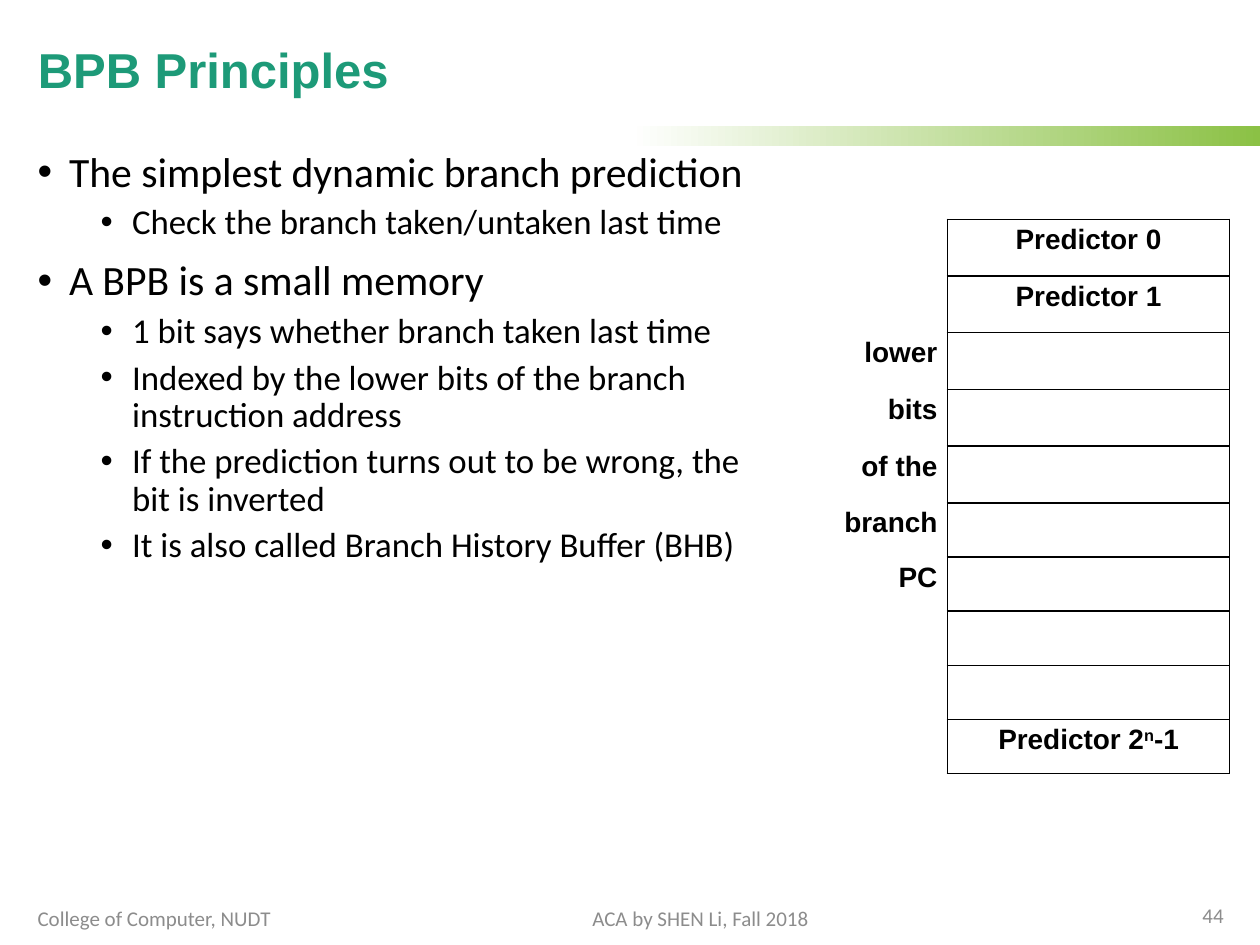
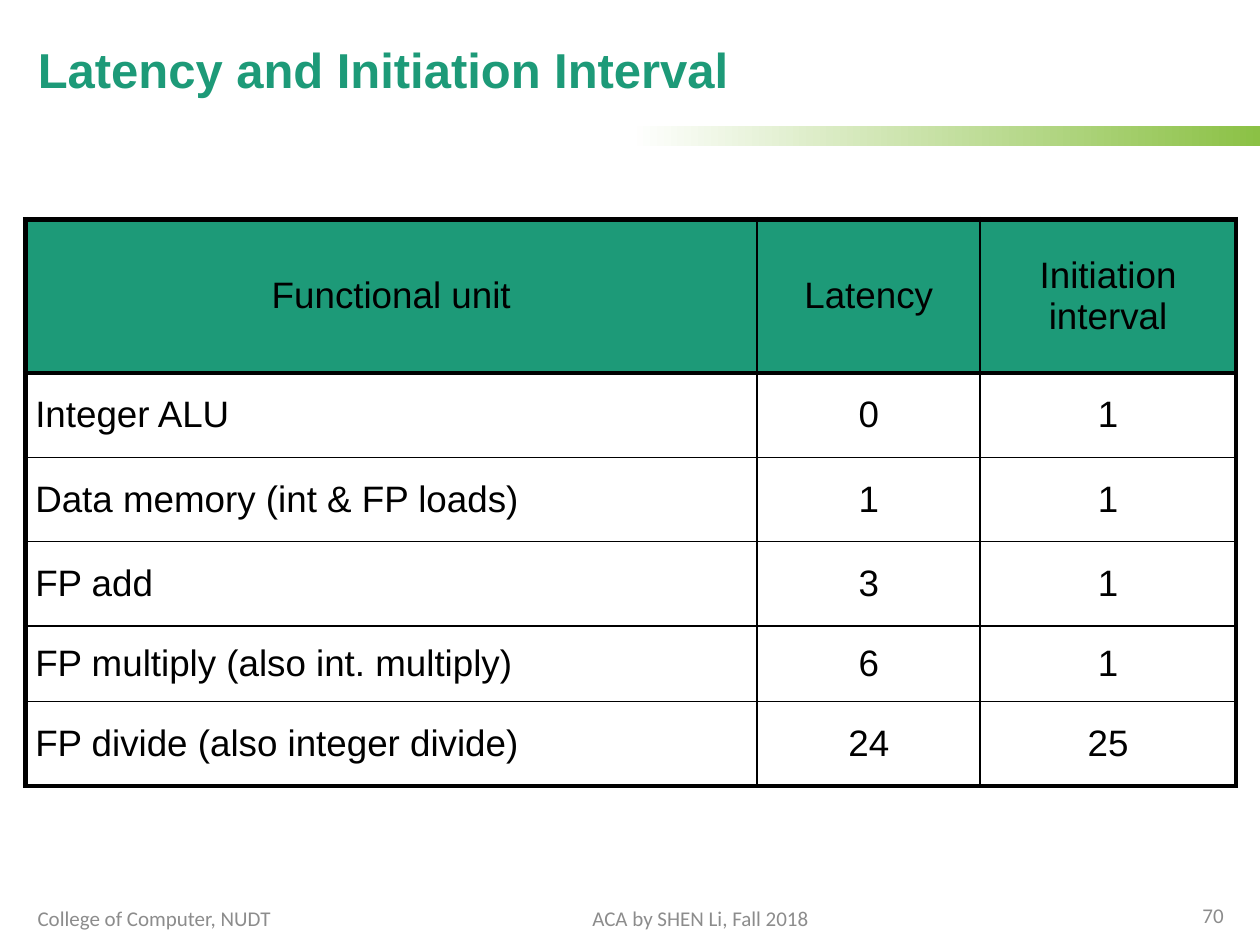
from lxml import etree
from pptx import Presentation
from pptx.dml.color import RGBColor
from pptx.enum.shapes import MSO_SHAPE
from pptx.enum.text import MSO_ANCHOR, MSO_AUTO_SIZE, PP_ALIGN
from pptx.oxml.ns import qn
from pptx.util import Inches, Pt

LEFT, CENTER, RIGHT = PP_ALIGN.LEFT, PP_ALIGN.CENTER, PP_ALIGN.RIGHT
TOP, MIDDLE = MSO_ANCHOR.TOP, MSO_ANCHOR.MIDDLE
RECTANGLE = MSO_SHAPE.RECTANGLE
NO_AUTOFIT = MSO_AUTO_SIZE.NONE

COLORS = {"teal": "1D9A78", "lime": "8BC145", "white": "FFFFFF",
          "black": "000000", "footer": "8C8C8C"}
HEADING_FONT, BODY_FONT = "Arial", "Calibri"
TITLE_ONLY = 5
MARGIN = 0.2
CONTENT_WIDTH = 9.61
TABLE_TOP = 1.74
THIN, THICK = 1, 3

# Bullet level: left indent, text size, space before
BULLET_LEVELS = [(0.25, 23.8, 10), (0.75, 19.9, 5)]

BPB_POINTS = [
    (0, "The simplest dynamic branch prediction"),
    (1, "Check the branch taken/untaken last time"),
    (0, "A BPB is a small memory"),
    (1, "1 bit says whether branch taken last time"),
    (1, "Indexed by the lower bits of the branch instruction address"),
    (1, "If the prediction turns out to be wrong, the bit is inverted"),
    (1, "It is also called Branch History Buffer (BHB)"),
]
INDEX_LABELS = ["", "", "lower", "bits", "of the", "branch", "PC", "", "", ""]
PREDICTORS = {0: ["Predictor 0"], 1: ["Predictor 1"],
              9: ["Predictor 2", "n", "-1"]}

LATENCIES = [
    ("Functional unit", "Latency", "Initiation interval"),
    ("Integer ALU", "0", "1"),
    ("Data memory (int & FP loads)", "1", "1"),
    ("FP add", "3", "1"),
    ("FP multiply (also int. multiply)", "6", "1"),
    ("FP divide (also integer divide)", "24", "25"),
]


def rgb(name):
    return RGBColor.from_string(COLORS[name])


def add_run(paragraph, text, size, font=BODY_FONT, color="black", bold=False):
    run = paragraph.add_run()
    run.text = text
    run.font.size = Pt(size)
    run.font.name = font
    run.font.bold = bold
    run.font.color.rgb = rgb(color)
    return run


def add_text_frame(slide, left, top, width, height, anchor=TOP):
    box = slide.shapes.add_textbox(Inches(left), Inches(top),
                                   Inches(width), Inches(height))
    frame = box.text_frame
    frame.word_wrap = True
    frame.vertical_anchor = anchor
    return frame


def add_title(slide, text):
    title = slide.shapes.title
    title.left, title.top = Inches(MARGIN), Inches(0.15)
    title.width, title.height = Inches(CONTENT_WIDTH), Inches(0.85)
    frame = title.text_frame
    frame.auto_size = NO_AUTOFIT
    frame.vertical_anchor = MIDDLE
    paragraph = frame.paragraphs[0]
    paragraph.alignment = LEFT
    paragraph.line_spacing = 0.9
    add_run(paragraph, text, 28, HEADING_FONT, "teal", bold=True)


def add_title_band(slide):
    band = slide.shapes.add_shape(RECTANGLE, Inches(5), Inches(1),
                                  Inches(5), Inches(0.16))
    band.shadow.inherit = False
    band.line.fill.background()
    band.fill.gradient()
    band.fill.gradient_angle = 0
    for stop, color in zip(band.fill.gradient_stops, ("white", "lime")):
        stop.color.rgb = rgb(color)


def add_footer(slide, number):
    for left, top, width, alignment, text in [
            (MARGIN, 7.09, 2.25, LEFT, "College of Computer, NUDT"),
            (3.28, 7.09, 4.56, CENTER, "ACA by SHEN Li, Fall 2018"),
            (8.79, 7.06, 1.02, RIGHT, str(number))]:
        frame = add_text_frame(slide, left, top, width, 0.4, MIDDLE)
        paragraph = frame.paragraphs[0]
        paragraph.alignment = alignment
        add_run(paragraph, text, 12, color="footer")


def add_base_slide(deck, title, number):
    slide = deck.slides.add_slide(deck.slide_layouts[TITLE_ONLY])
    add_title_band(slide)
    add_title(slide, title)
    add_footer(slide, number)
    return slide


def add_bullets(slide, points):
    frame = add_text_frame(slide, MARGIN, 1.15, 5.83, 5.95)
    for index, (level, text) in enumerate(points):
        paragraph = frame.add_paragraph() if index else frame.paragraphs[0]
        indent, size, space_before = BULLET_LEVELS[level]
        properties = paragraph._p.get_or_add_pPr()
        properties.set("marL", str(Inches(indent)))
        properties.set("indent", str(Inches(-0.25)))
        etree.SubElement(properties, qn("a:buFont")).set("typeface", "Arial")
        etree.SubElement(properties, qn("a:buChar")).set("char", "•")
        paragraph.level = level
        paragraph.line_spacing = 0.9
        if index:
            paragraph.space_before = Pt(space_before)
        add_run(paragraph, text, size)


def add_plain_table(slide, left, columns, rows):
    frame = slide.shapes.add_table(
        len(rows), len(columns), Inches(left), Inches(TABLE_TOP),
        Inches(sum(columns)), Inches(sum(rows)))
    table = frame.table
    table.first_row = table.horz_banding = False
    for column, width in zip(table.columns, columns):
        column.width = Inches(width)
    for row, height in zip(table.rows, rows):
        row.height = Inches(height)
    return table


def format_cell(cell, borders, fill=None, anchor=TOP):
    """Borders are widths in points for left, right, top, bottom; 0 is none."""
    cell.margin_left = cell.margin_right = Inches(0.08)
    cell.margin_top = cell.margin_bottom = Inches(0.04)
    cell.vertical_anchor = anchor
    properties = cell._tc.get_or_add_tcPr()
    for side, width in zip("LRTB", borders):
        line = etree.SubElement(properties, qn(f"a:ln{side}"))
        if width:
            line.set("w", str(Pt(width)))
            solid = etree.SubElement(line, qn("a:solidFill"))
            etree.SubElement(solid, qn("a:srgbClr")).set("val", COLORS["black"])
        else:
            etree.SubElement(line, qn("a:noFill"))
    if fill:
        cell.fill.solid()
        cell.fill.fore_color.rgb = rgb(fill)
    else:
        cell.fill.background()


def add_cell_text(cell, pieces, alignment, size, bold=False):
    paragraph = cell.text_frame.paragraphs[0]
    paragraph.alignment = alignment
    return [add_run(paragraph, piece, size, HEADING_FONT, bold=bold)
            for piece in pieces]


def add_predictor_table(slide):
    table = add_plain_table(slide, 6.1, [1.42, 2.24], [0.45] * 5 + [0.43] * 5)
    for row, label in enumerate(INDEX_LABELS):
        index_cell, predictor_cell = table.cell(row, 0), table.cell(row, 1)
        format_cell(index_cell, (0, THIN, 0, 0))
        format_cell(predictor_cell, (THIN,) * 4)
        if label:
            add_cell_text(index_cell, [label], RIGHT, 16, bold=True)
        if row in PREDICTORS:
            runs = add_cell_text(predictor_cell, PREDICTORS[row], CENTER, 16,
                                 bold=True)
            # The exponent is the second piece
            for exponent in runs[1:2]:
                exponent._r.get_or_add_rPr().set("baseline", "30000")


def add_latency_table(slide):
    table = add_plain_table(slide, MARGIN, [5.81, 1.77, 2.03],
                            [1.22, 0.67, 0.67, 0.67, 0.6, 0.67])
    last_row, last_column = len(LATENCIES) - 1, len(LATENCIES[0]) - 1
    for row, values in enumerate(LATENCIES):
        for column, value in enumerate(values):
            cell = table.cell(row, column)
            # Thick outer frame and thick rule under the header
            thick_sides = (column == 0, column == last_column,
                           row in (0, 1), row in (0, last_row))
            borders = [THICK if thick else THIN for thick in thick_sides]
            format_cell(cell, borders, "teal" if row == 0 else None, MIDDLE)
            alignment = LEFT if row and column == 0 else CENTER
            add_cell_text(cell, [value], alignment, 21)


def main():
    deck = Presentation()
    deck.slide_width, deck.slide_height = Inches(10), Inches(7.5)

    # Branch prediction buffer
    bpb = add_base_slide(deck, "BPB Principles", 44)
    add_bullets(bpb, BPB_POINTS)
    add_predictor_table(bpb)

    # Functional unit timing
    latency = add_base_slide(deck, "Latency and Initiation Interval", 70)
    add_latency_table(latency)

    deck.save("out.pptx")


if __name__ == "__main__":
    main()
